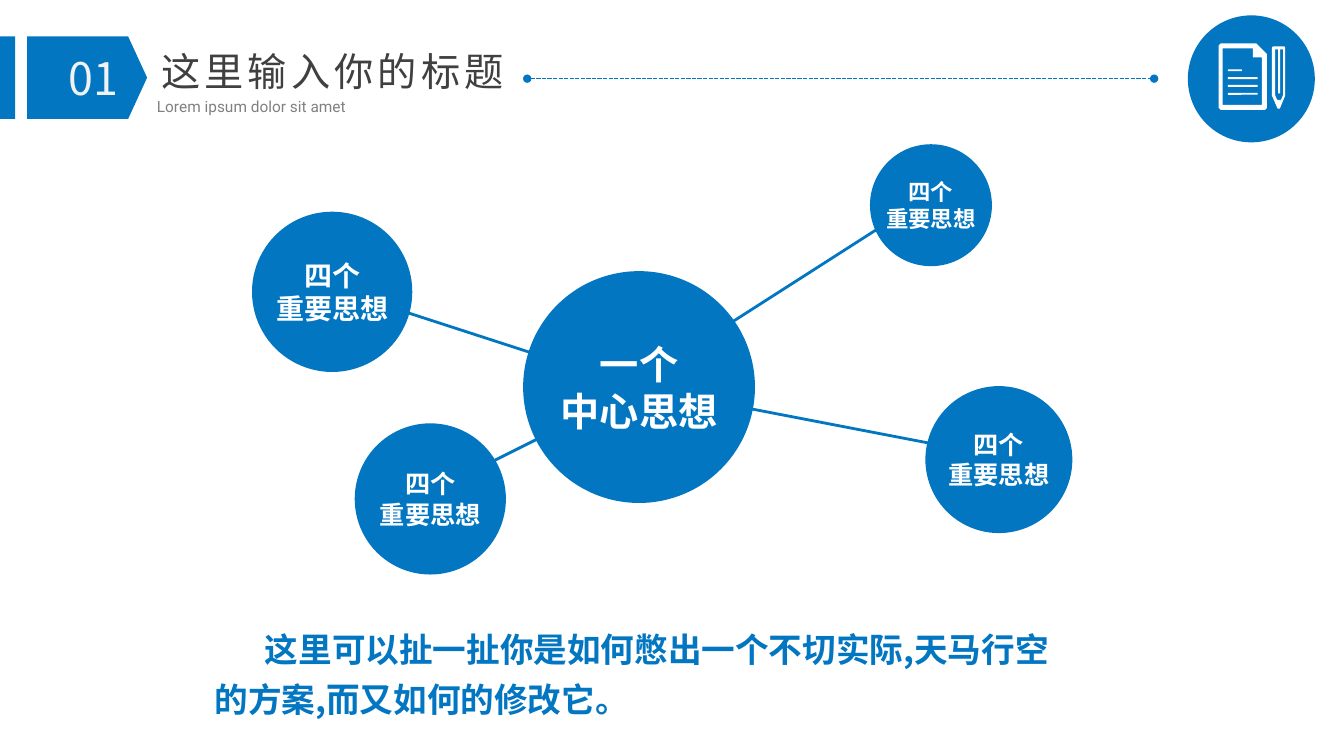
from pptx import Presentation
from pptx.dml.color import RGBColor
from pptx.enum.dml import MSO_LINE
from pptx.enum.shapes import MSO_CONNECTOR, MSO_SHAPE
from pptx.enum.text import MSO_ANCHOR, MSO_AUTO_SIZE, PP_ALIGN
from pptx.oxml.ns import qn
from pptx.util import Pt
from lxml.etree import SubElement

BLUE, WHITE = "0376C2", "FFFFFF"
SANS, LATIN = "Noto Sans CJK SC", "Roboto"

# Spokes: from x, y to x, y
SPOKES = [
    (233, 204.5, 453.5, 276),
    (300, 355.5, 455, 278),
    (448, 278, 648, 150),
    (453, 276, 713, 326),
]
# Balls: left, top, diameter, text size, words
IDEA = ["四个", "重要思想"]
BALLS = [
    (373.7, 193.7, 165.6, 28, ["一个", "中心思想"]),
    (621.4, 103, 87.1, 16, IDEA),
    (180, 151.2, 114.5, 20, IDEA),
    (661, 275.8, 105, 18, IDEA),
    (253.4, 302.4, 108, 18, IDEA),
]
# Icon outlines: outer edge, then hole
PAGE = [
    [(872, 31), (897.4, 31), (905, 38.6), (905, 77), (903.6, 78.5),
     (872, 78.5), (870.5, 77), (870.5, 32.4)],
    [(873.4, 34.6), (895, 34.6), (895, 41), (901.4, 41),
     (901.4, 74.9), (873.4, 74.9)],
]
PENCIL = [
    [(909.3, 33.1), (917.3, 33.1), (918, 34), (918, 68.4), (914.2, 77.6),
     (912.6, 77.6), (908.6, 68.4), (908.6, 34)],
    [(910.8, 35.3), (913, 35.3), (913, 66.8), (914.4, 66.8), (914.4, 35.3),
     (916.6, 35.3), (916.6, 67.7), (915.1, 71.3), (912.2, 71.3), (910.8, 67.7)],
]


def color(code):
    return RGBColor.from_string(code)


def paint(shape, fill):
    shape.shadow.inherit = False
    shape.fill.solid()
    shape.fill.fore_color.rgb = color(fill)
    shape.line.fill.background()


def add_form(slide, kind, box, fill=BLUE):
    shape = slide.shapes.add_shape(kind, *map(Pt, box))
    paint(shape, fill)
    return shape


def add_path(slide, rings, fill):
    pen = None
    for ring in rings:
        spots = [(Pt(x), Pt(y)) for x, y in ring]
        if pen is None:
            pen = slide.shapes.build_freeform(*spots[0])
        else:
            pen.move_to(*spots[0])
        pen.add_line_segments(spots[1:], close=True)
    paint(pen.convert_to_shape(), fill)


def add_line(slide, ends, width):
    line = slide.shapes.add_connector(MSO_CONNECTOR.STRAIGHT, *map(Pt, ends))
    line.line.color.rgb = color(BLUE)
    line.line.width = Pt(width)
    SubElement(line._element.spPr, qn("a:effectLst"))
    return line


def write(frame, rows, size, hue, face=SANS, bold=False,
          align=PP_ALIGN.CENTER, gap=0):
    for i, row in enumerate(rows):
        para = frame.paragraphs[0] if i == 0 else frame.add_paragraph()
        para.alignment = align
        run = para.add_run()
        run.text = row
        font = run.font
        font.size, font.bold, font.name = Pt(size), bold, face
        font.color.rgb = color(hue)
        props = run._r.get_or_add_rPr()
        SubElement(props, qn("a:ea")).set("typeface", face)
        if gap:
            props.set("spc", str(gap * 100))


def add_text(slide, box, *args, **style):
    frame = slide.shapes.add_textbox(*map(Pt, box)).text_frame
    frame.word_wrap = True
    write(frame, *args, **style)
    return frame


def add_ball(slide, left, top, size, points, rows):
    ball = add_form(slide, MSO_SHAPE.OVAL, (left, top, size, size))
    frame = ball.text_frame
    frame.word_wrap = False
    frame.vertical_anchor = MSO_ANCHOR.MIDDLE
    write(frame, rows, points, WHITE, bold=True)


def add_title(slide):
    title = slide.shapes.title
    title.left, title.top, title.width, title.height = map(
        Pt, (105, 30.2, 265, 41))
    frame = title.text_frame
    frame.auto_size = MSO_AUTO_SIZE.NONE
    frame.word_wrap = False
    frame.vertical_anchor = MSO_ANCHOR.MIDDLE
    write(frame, ["这里输入你的标题"], 28, "404040", LATIN, gap=3)


def add_head(slide):
    add_form(slide, MSO_SHAPE.RECTANGLE, (0, 26, 10.8, 59))
    flag = add_form(slide, MSO_SHAPE.PENTAGON, (19.4, 26, 85.7, 59))
    flag.adjustments[0] = 0.23
    add_text(slide, (28.8, 32.4, 76.3, 32), ["01"], 32, "F2F2F2")
    add_title(slide)
    add_text(slide, (105, 65.5, 265, 21), ["Lorem ipsum dolor sit amet"],
             11, "808080", LATIN, align=PP_ALIGN.JUSTIFY)
    # Dashed rule with round ends
    rule = add_line(slide, (376.6, 56.2, 824.4, 56.2), 1)
    rule.line.dash_style = MSO_LINE.SQUARE_DOT
    for end in ("a:headEnd", "a:tailEnd"):
        SubElement(rule.line._get_or_add_ln(), qn(end)).set("type", "oval")


def add_icon(slide):
    add_form(slide, MSO_SHAPE.OVAL, (848.5, 11, 90.7, 90.7))
    for i, wide in enumerate((10, 21.3, 21.3, 21.3)):
        add_form(slide, MSO_SHAPE.ROUNDED_RECTANGLE,
                 (877, 49.5 + 5.6 * i, wide, 1.4), WHITE)
    for rings in (PAGE, PENCIL):
        add_path(slide, rings, WHITE)


def add_note(slide):
    words = "这里可以扯一扯你是如何憋出一个不切实际,天马行空的方案,而又如何的修改它。"
    frame = add_text(slide, (146.2, 438.5, 623.5, 80),
                     [words.replace(",", ",")], 24, BLUE, bold=True,
                     align=PP_ALIGN.LEFT)
    para = frame.paragraphs[0]
    para.line_spacing = 1.25
    para._p.get_or_add_pPr().set("indent", str(Pt(36)))


def main():
    deck = Presentation()
    deck.slide_width, deck.slide_height = Pt(960), Pt(540)
    slide = deck.slides.add_slide(deck.slide_layouts[5])
    # Header
    add_head(slide)
    add_icon(slide)
    # Mind map
    for ends in SPOKES:
        add_line(slide, ends, 2)
    for ball in BALLS:
        add_ball(slide, *ball)
    # Closing text
    add_note(slide)
    deck.save("out.pptx")


main()
